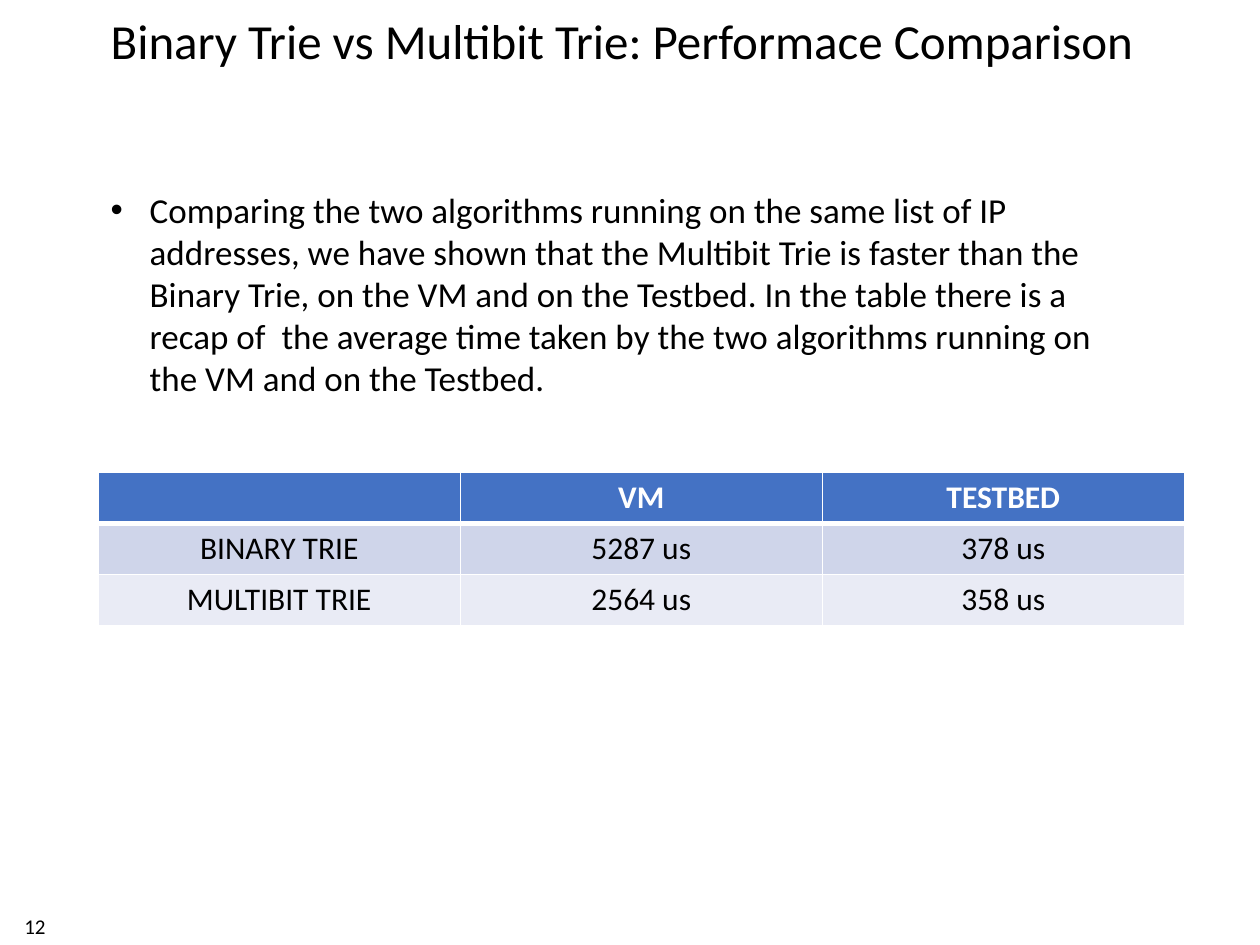
"""Build a slide comparing binary trie and multibit trie running times."""
from dataclasses import dataclass

from lxml.etree import SubElement
from pptx import Presentation
from pptx.dml.color import RGBColor
from pptx.enum.text import MSO_ANCHOR, PP_ALIGN
from pptx.oxml.ns import qn
from pptx.slide import Slide
from pptx.table import _Cell
from pptx.text.text import _Paragraph
from pptx.util import Inches, Pt

SLIDE_WIDTH, SLIDE_HEIGHT = Inches(10), Inches(7.5)
FONT = "Calibri"
COLORS = {
    "text": "000000",
    "light": "FFFFFF",
    "header": "4472C4",
    "odd_band": "CFD5EA",
    "even_band": "E9EBF5",
}
LEFT_MARGIN = 0.078
BULLET_INDENT = Inches(0.31)
THIN, THICK = Pt(1), Pt(3)


@dataclass(frozen=True)
class Area:
    """Hold a position and size as shares of the slide."""
    left: float
    top: float
    width: float
    height: float

    def lengths(self) -> tuple[int, int, int, int]:
        """Return left, top, width and height in slide units."""
        return (
            int(self.left * SLIDE_WIDTH),
            int(self.top * SLIDE_HEIGHT),
            int(self.width * SLIDE_WIDTH),
            int(self.height * SLIDE_HEIGHT),
        )


@dataclass(frozen=True)
class TextBlock:
    """Describe one text box."""
    text: str
    area: Area
    size: int
    anchor: MSO_ANCHOR = MSO_ANCHOR.MIDDLE
    alignment: PP_ALIGN = PP_ALIGN.LEFT
    line_spacing: float = 1.0
    bulleted: bool = False


@dataclass(frozen=True)
class TableRow:
    """Describe one table row."""
    texts: tuple[str, str, str]
    fill: str
    color: str = "text"
    bold: bool = False
    top_border: int = THIN
    bottom_border: int = THIN


TEXT_BLOCKS = (
    TextBlock(
        "Binary Trie vs Multibit Trie: Performace Comparison",
        Area(LEFT_MARGIN, 0.02, 0.889, 0.053),
        28,
        line_spacing=0.9,
    ),
    TextBlock("12", Area(0, 0.959, 0.046, 0.041), 12, alignment=PP_ALIGN.RIGHT),
    TextBlock(
        "Comparing the two algorithms running on the same list of IP addresses, "
        "we have shown that the Multibit Trie is faster than the Binary Trie, "
        "on the VM and on the Testbed. In the table there is a recap of  the "
        "average time taken by the two algorithms running on the VM and on the "
        "Testbed.",
        Area(LEFT_MARGIN, 0.193, 0.841, 0.237),
        20,
        anchor=MSO_ANCHOR.TOP,
        bulleted=True,
    ),
)
TABLE_AREA = Area(LEFT_MARGIN, 0.5, 0.862, 0.162)
TABLE_ROWS = (
    TableRow(("", "VM", "TESTBED"), "header", "light", True, bottom_border=THICK),
    TableRow(("BINARY TRIE", "5287 us", "378 us"), "odd_band", top_border=THICK),
    TableRow(("MULTIBIT TRIE", "2564 us", "358 us"), "even_band"),
)


def add_run(
    paragraph: _Paragraph, text: str, size: int, color: str = "text", bold: bool = False
) -> None:
    """Append a styled run to a paragraph."""
    run = paragraph.add_run()
    run.text = text
    run.font.name = FONT
    run.font.size = Pt(size)
    run.font.bold = bold
    run.font.color.rgb = RGBColor.from_string(COLORS[color])


def add_bullet(paragraph: _Paragraph) -> None:
    """Give a paragraph a hanging bullet."""
    properties = paragraph._p.get_or_add_pPr()
    properties.set("marL", str(BULLET_INDENT))
    properties.set("indent", str(-BULLET_INDENT))
    SubElement(properties, qn("a:buFont"), typeface="Arial")
    SubElement(properties, qn("a:buChar"), char="•")


def add_text_block(slide: Slide, block: TextBlock) -> None:
    """Draw a text box."""
    shape = slide.shapes.add_textbox(*block.area.lengths())
    frame = shape.text_frame
    frame.word_wrap = True
    frame.vertical_anchor = block.anchor
    paragraph = frame.paragraphs[0]
    paragraph.alignment = block.alignment
    paragraph.line_spacing = block.line_spacing
    if block.bulleted:
        add_bullet(paragraph)
    add_run(paragraph, block.text, block.size)


def add_borders(cell: _Cell, row: TableRow) -> None:
    """Draw the four borders of a cell."""
    properties = cell._tc.get_or_add_tcPr()
    widths = {"L": THIN, "R": THIN, "T": row.top_border, "B": row.bottom_border}
    for side, width in widths.items():
        border = SubElement(properties, qn(f"a:ln{side}"), w=str(width))
        fill = SubElement(border, qn("a:solidFill"))
        SubElement(fill, qn("a:srgbClr"), val=COLORS["light"])


def fill_cell(cell: _Cell, text: str, row: TableRow) -> None:
    """Style a cell and write its text."""
    add_borders(cell, row)
    cell.fill.solid()
    cell.fill.fore_color.rgb = RGBColor.from_string(COLORS[row.fill])
    paragraph = cell.text_frame.paragraphs[0]
    paragraph.alignment = PP_ALIGN.CENTER
    if text:
        add_run(paragraph, text, 18, row.color, row.bold)


def add_timing_table(slide: Slide, rows: tuple[TableRow, ...], area: Area) -> None:
    """Draw the table of average times."""
    shape = slide.shapes.add_table(len(rows), len(rows[0].texts), *area.lengths())
    for row_index, row in enumerate(rows):
        for column_index, text in enumerate(row.texts):
            fill_cell(shape.table.cell(row_index, column_index), text, row)


def main() -> None:
    """Build and save the presentation."""
    presentation = Presentation()
    presentation.slide_width = SLIDE_WIDTH
    presentation.slide_height = SLIDE_HEIGHT
    slide = presentation.slides.add_slide(presentation.slide_layouts[6])
    for block in TEXT_BLOCKS:
        add_text_block(slide, block)
    add_timing_table(slide, TABLE_ROWS, TABLE_AREA)
    presentation.save("out.pptx")


if __name__ == "__main__":
    main()
